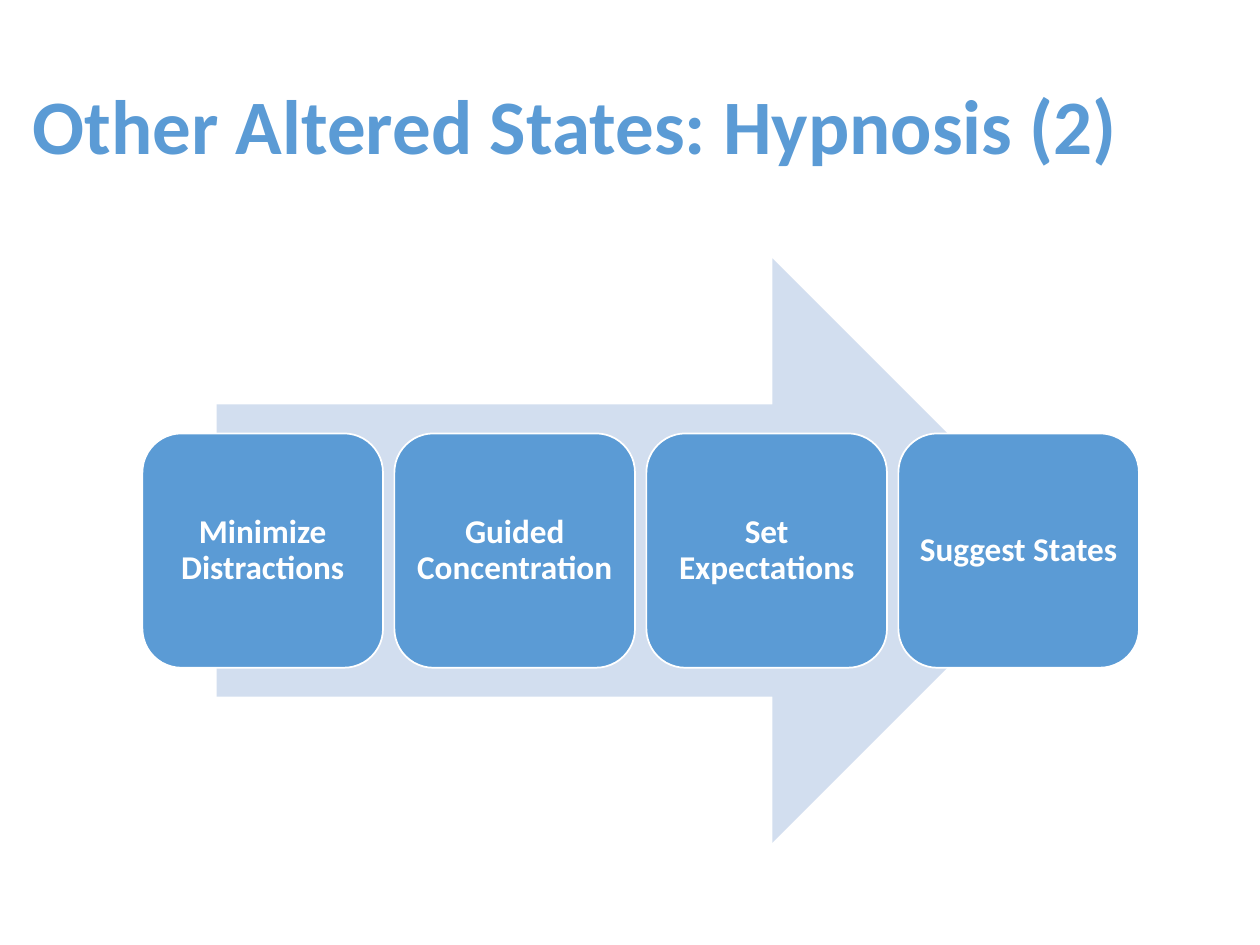
from pptx import Presentation
from pptx.dml.color import RGBColor
from pptx.enum.shapes import MSO_SHAPE
from pptx.enum.text import MSO_ANCHOR, PP_ALIGN
from pptx.util import Inches, Pt

ARROW = MSO_SHAPE.RIGHT_ARROW
ROUNDED = MSO_SHAPE.ROUNDED_RECTANGLE
MIDDLE = MSO_ANCHOR.MIDDLE
LEFT, CENTER = PP_ALIGN.LEFT, PP_ALIGN.CENTER

COLUMNS, ROWS = 10, 7.5
STEPS = ["Minimize Distractions", "Guided Concentration", "Set Expectations", "Suggest States"]
FIRST_STEP, STEP_PITCH = 1.13, 2


def color(hex_string):
    return RGBColor.from_string(hex_string)


class ProcessPage:
    """Draws on one slide; every place is (left, top, width, height) in grid columns and rows."""

    font = "Calibri"
    accent, pale, white = "5B9BD5", "D2DEEF", "FFFFFF"

    def __init__(self, deck):
        self.page = deck.slides.add_slide(deck.slide_layouts[6])
        self.column = deck.slide_width / COLUMNS
        self.row = deck.slide_height / ROWS

    def place(self, left, top, width, height):
        return (round(left * self.column), round(top * self.row),
                round(width * self.column), round(height * self.row))

    def label(self, box, text, size, ink, align):
        frame = box.text_frame
        frame.text = text
        frame.word_wrap = True
        frame.vertical_anchor = MIDDLE
        para = frame.paragraphs[0]
        para.alignment = align
        para.line_spacing = 0.9
        for span in para.runs:
            span.font.name = self.font
            span.font.size = Pt(size)
            span.font.bold = True
            span.font.color.rgb = color(ink)

    def title(self, text, *spot):
        box = self.page.shapes.add_textbox(*self.place(*spot))
        self.label(box, text, 44, self.accent, LEFT)

    def shape(self, preset, fill, *spot):
        shape = self.page.shapes.add_shape(preset, *self.place(*spot))
        shape.shadow.inherit = False
        shape.fill.solid()
        shape.fill.fore_color.rgb = color(fill)
        shape.line.fill.background()
        return shape

    def arrow(self, *spot):
        self.shape(ARROW, self.pale, *spot)

    def step(self, text, *spot):
        box = self.shape(ROUNDED, self.accent, *spot)
        box.line.color.rgb = color(self.white)
        box.line.width = Pt(1)
        frame = box.text_frame
        frame.margin_left = frame.margin_right = Inches(0.08)
        frame.margin_top = frame.margin_bottom = Inches(0.08)
        self.label(box, text, 19, self.white, CENTER)


def main():
    deck = Presentation()
    deck.slide_width, deck.slide_height = Inches(10), Inches(7.5)
    page = ProcessPage(deck)
    page.title("Other Altered States: Hypnosis (2)", 0.16, 0.18, 9.67, 1.69)
    page.arrow(1.72, 2.05, 6.73, 4.64)
    for index, text in enumerate(STEPS):
        page.step(text, FIRST_STEP + index * STEP_PITCH, 3.44, 1.91, 1.86)
    deck.save("out.pptx")


if __name__ == "__main__":
    main()
